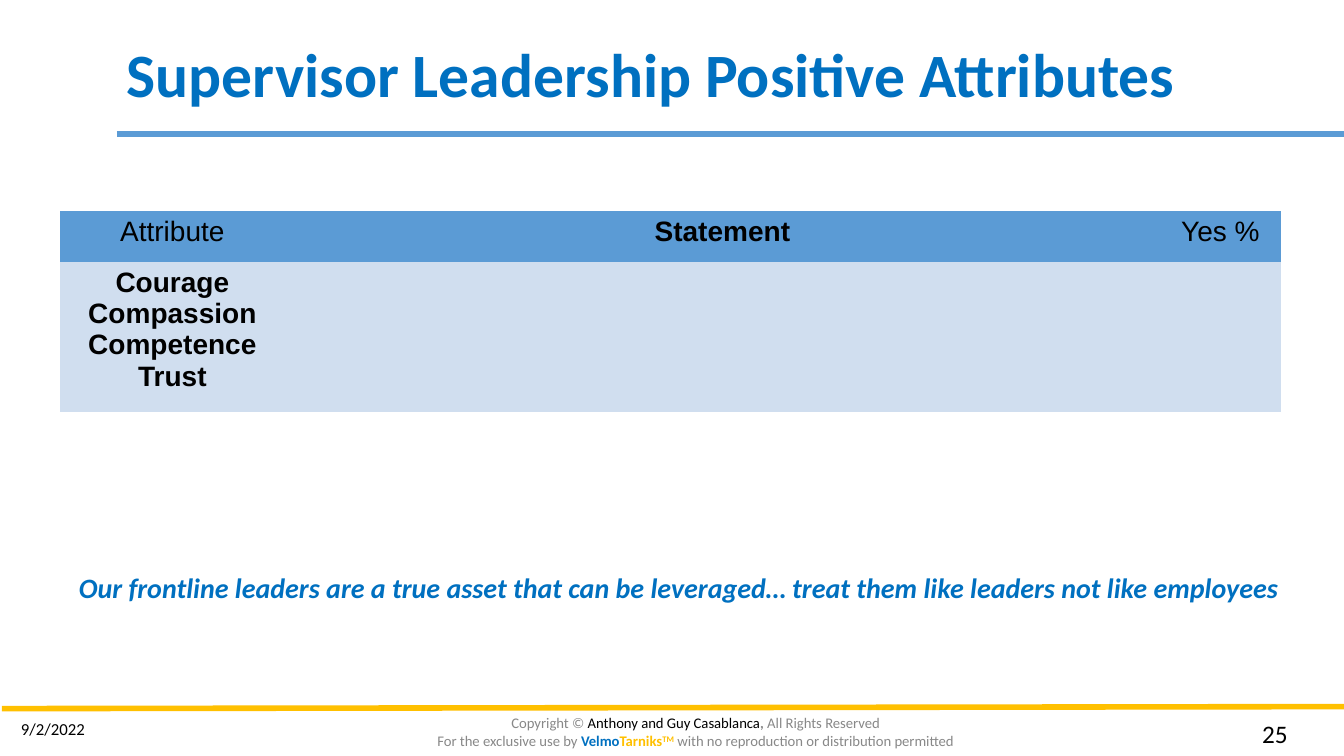
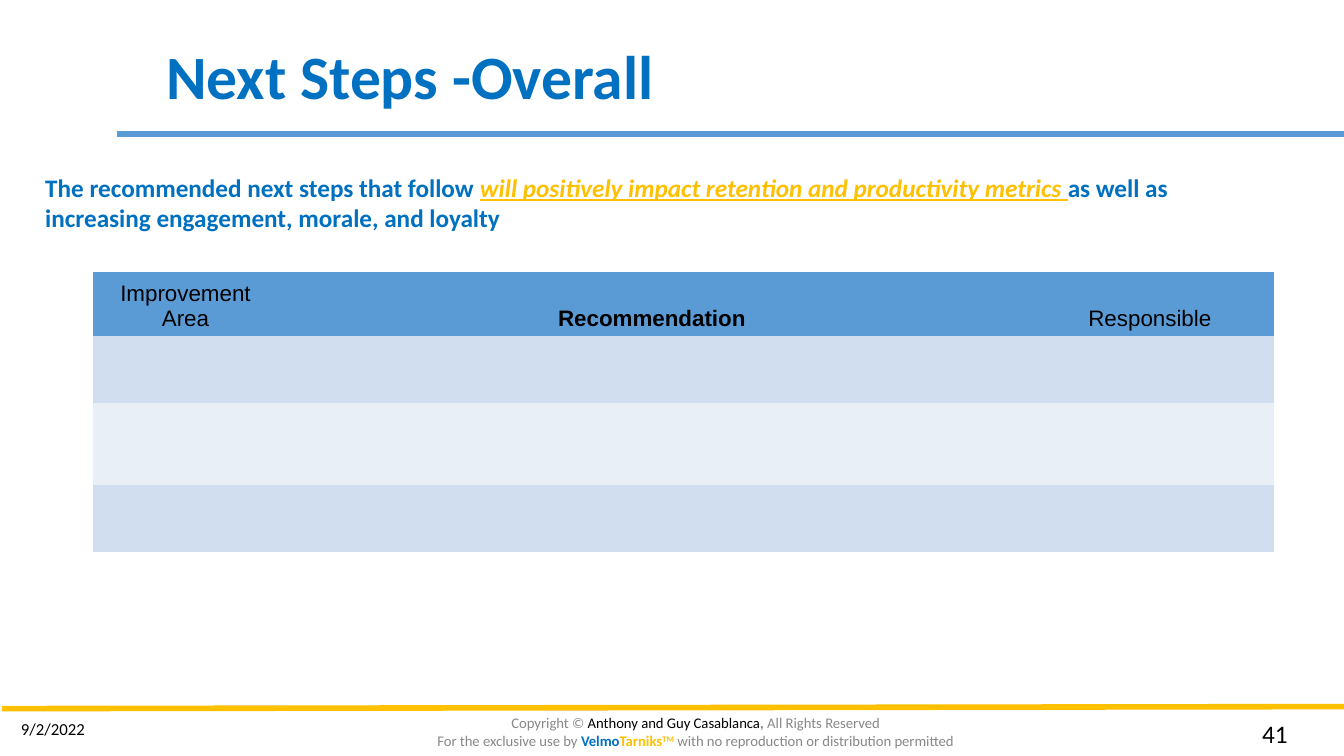
from lxml.etree import SubElement
from pptx import Presentation
from pptx.dml.color import RGBColor
from pptx.enum.shapes import MSO_CONNECTOR as Connector
from pptx.enum.text import MSO_ANCHOR as Anchor, PP_ALIGN as Align
from pptx.oxml.ns import qn
from pptx.util import Inches, Pt

COLORS = {
    "title": "0070C0",
    "rule": "5B9BD5",
    "gold": "FFC000",
    "gray": "888888",
    "black": "000000",
    "band_dark": "D0DEEF",
    "band_light": "E9EFF7",
}
PLAIN_TABLE_STYLE = "{2D5ABB26-0587-4C30-8999-92F81FD0307C}"
DATE = "9/2/2022"
FOOTER = [
    [
        ("Copyright © ", {}),
        ("Anthony and Guy Casablanca", {"color": "black"}),
        (", ", {"bold": True}),
        ("All Rights Reserved", {}),
    ],
    [
        ("For the exclusive use by ", {}),
        ("Velmo", {"color": "title", "bold": True}),
        ("Tarniks", {"color": "gold", "bold": True}),
        ("TM", {"color": "gold", "bold": True, "raised": True}),
        (" with no reproduction or distribution permitted", {}),
    ],
]


def rgb(name):
    return RGBColor.from_string(COLORS[name])


def format_run(run, size, color="black", font="Calibri", bold=False,
               italic=False, underline=False, raised=False):
    run.font.name = font
    run.font.size = Pt(size)
    run.font.color.rgb = rgb(color)
    run.font.bold = bold
    run.font.italic = italic
    run.font.underline = underline
    if raised:
        run._r.get_or_add_rPr().set("baseline", "30000")


def add_text(slide, box, paragraphs, align=Align.LEFT, anchor=Anchor.TOP,
             line_spacing=None, **style):
    shape = slide.shapes.add_textbox(*map(Inches, box))
    frame = shape.text_frame
    frame.word_wrap = True
    frame.vertical_anchor = anchor
    for index, runs in enumerate(paragraphs):
        paragraph = frame.add_paragraph() if index else frame.paragraphs[0]
        paragraph.alignment = align
        paragraph.line_spacing = line_spacing
        for text, changes in runs:
            run = paragraph.add_run()
            run.text = text
            format_run(run, **{**style, **changes})


def add_rule(slide, start, end, color):
    line = slide.shapes.add_connector(
        Connector.STRAIGHT, *map(Inches, start + end))
    line.line.color.rgb = rgb(color)
    line.line.width = Pt(4)
    SubElement(line._element.spPr, qn("a:effectLst"))


def add_slide(presentation, title, title_position, number):
    slide = presentation.slides.add_slide(presentation.slide_layouts[6])
    add_rule(slide, (1.16, 1.33), (13.33, 1.33), "rule")
    add_rule(slide, (0.02, 7.03), (13.33, 7.01), "gold")
    add_text(slide, (1.9, 7.06, 10, 0.4), FOOTER, Align.CENTER,
             Anchor.MIDDLE, size=10.5, color="gray")
    add_text(slide, title_position + (11.5, 0.93), [[(title, {})]],
             anchor=Anchor.MIDDLE, line_spacing=0.9,
             size=44, color="title", bold=True)
    add_text(slide, (0.11, 7.08, 1.4, 0.4), [[(DATE, {})]], size=12)
    add_text(slide, (12.42, 7.08, 0.84, 0.4), [[(number, {})]], size=18)
    return slide


def fill_cell(cell, text, color, size, bold, anchor):
    cell.fill.solid()
    cell.fill.fore_color.rgb = rgb(color)
    cell.vertical_anchor = anchor
    if not text:
        return
    cell.text_frame.text = text
    for paragraph in cell.text_frame.paragraphs:
        paragraph.alignment = Align.CENTER
        for run in paragraph.runs:
            format_run(run, size, font="Arial", bold=bold)


def add_table(slide, position, widths, heights, rows, size,
              header_anchor=Anchor.TOP):
    box = position + (sum(widths), sum(heights))
    frame = slide.shapes.add_table(
        len(heights), len(widths), *map(Inches, box))
    table = frame.table
    table._tbl.tblPr.find(qn("a:tableStyleId")).text = PLAIN_TABLE_STYLE
    for column, width in zip(table.columns, widths):
        column.width = Inches(width)
    for row_index, height in enumerate(heights):
        table.rows[row_index].height = Inches(height)
        header = row_index == 0
        band = "band_dark" if row_index % 2 else "band_light"
        for column_index, text in enumerate(rows[row_index]):
            fill_cell(
                table.cell(row_index, column_index), text,
                "rule" if header else band, size,
                bold=not header or column_index == 1,
                anchor=header_anchor if header else Anchor.TOP)


def build_attributes(presentation):
    slide = add_slide(presentation, "Supervisor Leadership Positive Attributes",
                      (1.16, 0.3), "25")
    attributes = "Courage\nCompassion\nCompetence\nTrust"
    add_table(slide, (0.59, 2.09), (2.24, 8.67, 1.21), (0.51, 1.49),
              [("Attribute", "Statement", "Yes %"), (attributes, "", "")], 20)
    message = ("Our frontline leaders are a true asset that can be "
               "leveraged… treat them like leaders not like employees")
    add_text(slide, (0.3, 5.61, 12.87, 0.44), [[(message, {})]],
             Align.CENTER, size=20, color="title", bold=True, italic=True)


def build_next_steps(presentation):
    slide = add_slide(presentation, "Next Steps -Overall", (1.55, 0.32), "41")
    headings = ("Improvement Area", "Recommendation", "Responsible")
    add_table(slide, (0.92, 2.7), (1.84, 7.41, 2.47), (0.6, 0.66, 0.82, 0.66),
              [headings] + [("", "", "")] * 3, 16, Anchor.BOTTOM)
    introduction = [
        ("The recommended next steps that follow ", {}),
        ("will positively impact retention and productivity metrics ",
         {"color": "gold", "italic": True, "underline": True}),
        ("as well as increasing engagement, morale, and loyalty", {}),
    ]
    add_text(slide, (0.35, 1.66, 12.19, 0.71), [introduction],
             size=18, color="title", bold=True)


def main():
    presentation = Presentation()
    presentation.slide_width = Inches(13.33)
    presentation.slide_height = Inches(7.5)
    build_attributes(presentation)
    build_next_steps(presentation)
    presentation.save("out.pptx")


if __name__ == "__main__":
    main()
